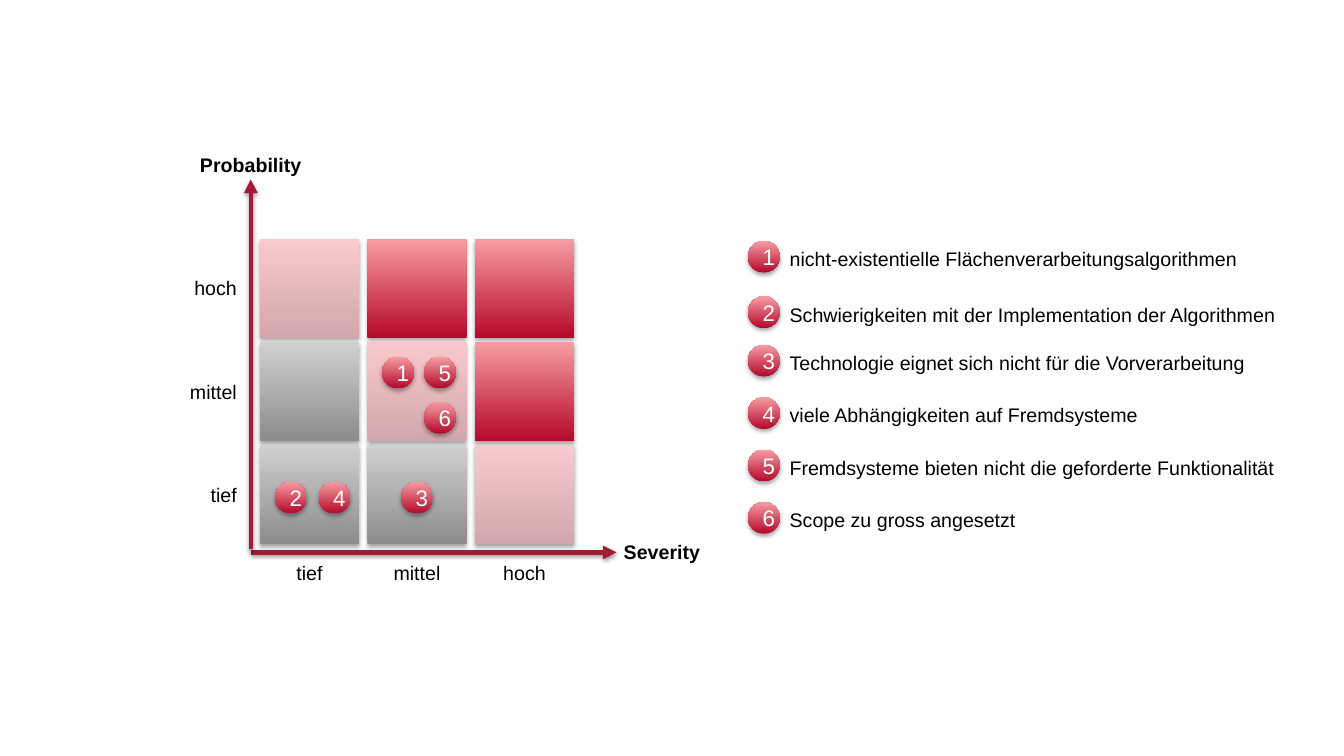
from pptx import Presentation
from pptx.dml.color import RGBColor
from pptx.enum.shapes import MSO_CONNECTOR, MSO_SHAPE
from pptx.enum.text import MSO_ANCHOR, MSO_AUTO_SIZE, PP_ALIGN
from pptx.oxml import parse_xml
from pptx.oxml.ns import nsdecls
from pptx.util import Cm, Pt

RECT, OVAL = MSO_SHAPE.RECTANGLE, MSO_SHAPE.OVAL
STRAIGHT = MSO_CONNECTOR.STRAIGHT
MIDDLE, GROW = MSO_ANCHOR.MIDDLE, MSO_AUTO_SIZE.SHAPE_TO_FIT_TEXT
LEFT, CENTER, RIGHT = PP_ALIGN.LEFT, PP_ALIGN.CENTER, PP_ALIGN.RIGHT

BLACK = RGBColor(0x00, 0x00, 0x00)
WHITE = RGBColor(0xFF, 0xFF, 0xFF)
AXIS = RGBColor(0xA1, 0x1C, 0x36)
# Gradients run from the bottom colour to the top colour.
GREY = RGBColor(0x8C, 0x8C, 0x8C), RGBColor(0xD0, 0xD0, 0xD0)
PINK = RGBColor(0xD2, 0xA6, 0xAA), RGBColor(0xF9, 0xC9, 0xCD)
RED = RGBColor(0xB5, 0x08, 0x2A), RGBColor(0xF7, 0x9D, 0xA3)

FONT = "Arial"
CELL, STEP_X, STEP_Y = 2.5, 2.71, 2.6
DOT = 0.8
TEXT_H, LABEL_W, TITLE_W = 0.86, 1.7, 4.6

LEVELS = ["tief", "mittel", "hoch"]
ZONES = [[PINK, RED, RED], [GREY, PINK, RED], [GREY, GREY, PINK]]
# Number, column, row, and offset within the cell
MARKS = [
    (1, 1, 1, 0.37, 0.37), (5, 1, 1, 1.43, 0.37), (6, 1, 1, 1.43, 1.51),
    (2, 0, 2, 0.38, 0.92), (4, 0, 2, 1.48, 0.92), (3, 1, 2, 0.85, 0.92),
]
RISKS = [
    (0, "nicht-existentielle Flächenverarbeitungsalgorithmen"),
    (1.4, "Schwierigkeiten mit der Implementation der Algorithmen"),
    (2.62, "Technologie eignet sich nicht für die Vorverarbeitung"),
    (3.94, "viele Abhängigkeiten auf Fremdsysteme"),
    (5.26, "Fremdsysteme bieten nicht die geforderte Funktionalität"),
    (6.58, "Scope zu gross angesetzt"),
]


def cast(shape, dist, alpha):
    """Give the shape a soft shadow straight below it."""
    shape._element.spPr.append(parse_xml(
        f'<a:effectLst {nsdecls("a")}><a:outerShdw blurRad="{Pt(3.1)}" '
        f'dist="{Pt(dist)}" dir="5400000" rotWithShape="0">'
        f'<a:srgbClr val="000000"><a:alpha val="{alpha}000"/></a:srgbClr>'
        '</a:outerShdw></a:effectLst>'))


def style(para, size, color, align, bold=False):
    para.alignment = align
    for run in para.runs:
        font = run.font
        font.name, font.size, font.bold = FONT, Pt(size), bold
        font.color.rgb = color


def label(slide, text, x, y, width, align=LEFT, bold=False):
    box = slide.shapes.add_textbox(Cm(x), Cm(y), Cm(width), Cm(TEXT_H))
    frame = box.text_frame
    frame.word_wrap, frame.auto_size = True, GROW
    frame.text = text
    style(frame.paragraphs[0], 14, BLACK, align, bold)


def tile(slide, kind, x, y, size, colors):
    shape = slide.shapes.add_shape(kind, Cm(x), Cm(y), Cm(size), Cm(size))
    shape.line.fill.background()
    shape.fill.gradient()
    shape.fill.gradient_angle = 90
    for stop, color in zip(shape.fill.gradient_stops, colors):
        stop.color.rgb = color
    cast(shape, 1.8, 35)
    return shape


def badge(slide, number, x, y):
    frame = tile(slide, OVAL, x, y, DOT, RED).text_frame
    frame.vertical_anchor = MIDDLE
    frame.text = str(number)
    style(frame.paragraphs[0], 16, WHITE, CENTER)


def arrow(slide, x1, y1, x2, y2):
    line = slide.shapes.add_connector(STRAIGHT, Cm(x1), Cm(y1), Cm(x2), Cm(y2))
    line.line.color.rgb = AXIS
    line.line.width = Pt(3.25)
    line.line._get_or_add_ln().append(
        parse_xml(f'<a:tailEnd {nsdecls("a")} type="triangle"/>'))
    cast(line, 1.6, 38)


def axes(slide, x, y, width, height):
    """Draw both axes inside the box; the origin is its lower left corner."""
    base = y + height
    arrow(slide, x, base, x + width, base)
    arrow(slide, x, base - 0.08, x, y)
    label(slide, "Probability", x - TITLE_W / 2, y - 0.79, TITLE_W, CENTER, True)
    label(slide, "Severity", x + width - 0.07, base - 0.43, TITLE_W, LEFT, True)


def matrix(slide, x, y):
    for row, zones in enumerate(ZONES):
        for col, colors in enumerate(zones):
            tile(slide, RECT, x + col * STEP_X, y + row * STEP_Y, CELL, colors)
    for i, level in enumerate(LEVELS):
        label(slide, level, x + i * STEP_X + (CELL - LABEL_W) / 2,
              y + 7.98, LABEL_W, CENTER)
        label(slide, level, x - 2.03,
              y + (2 - i) * STEP_Y + (CELL - TEXT_H) / 2, LABEL_W, RIGHT)
    for number, col, row, dx, dy in MARKS:
        badge(slide, number, x + col * STEP_X + dx, y + row * STEP_Y + dy)


def legend(slide, x, y, width):
    for number, (top, risk) in enumerate(RISKS, 1):
        badge(slide, number, x, y + top)
        label(slide, risk, x + DOT, y + top + 0.03, width - DOT)


def main():
    deck = Presentation()
    deck.slide_width, deck.slide_height = Cm(33.87), Cm(19.05)
    slide = deck.slides.add_slide(deck.slide_layouts[6])
    axes(slide, 6.32, 4.52, 9.22, 9.4)
    matrix(slide, 6.55, 6.02)
    legend(slide, 18.85, 6.07, 13.6)
    deck.save("out.pptx")


if __name__ == "__main__":
    main()
